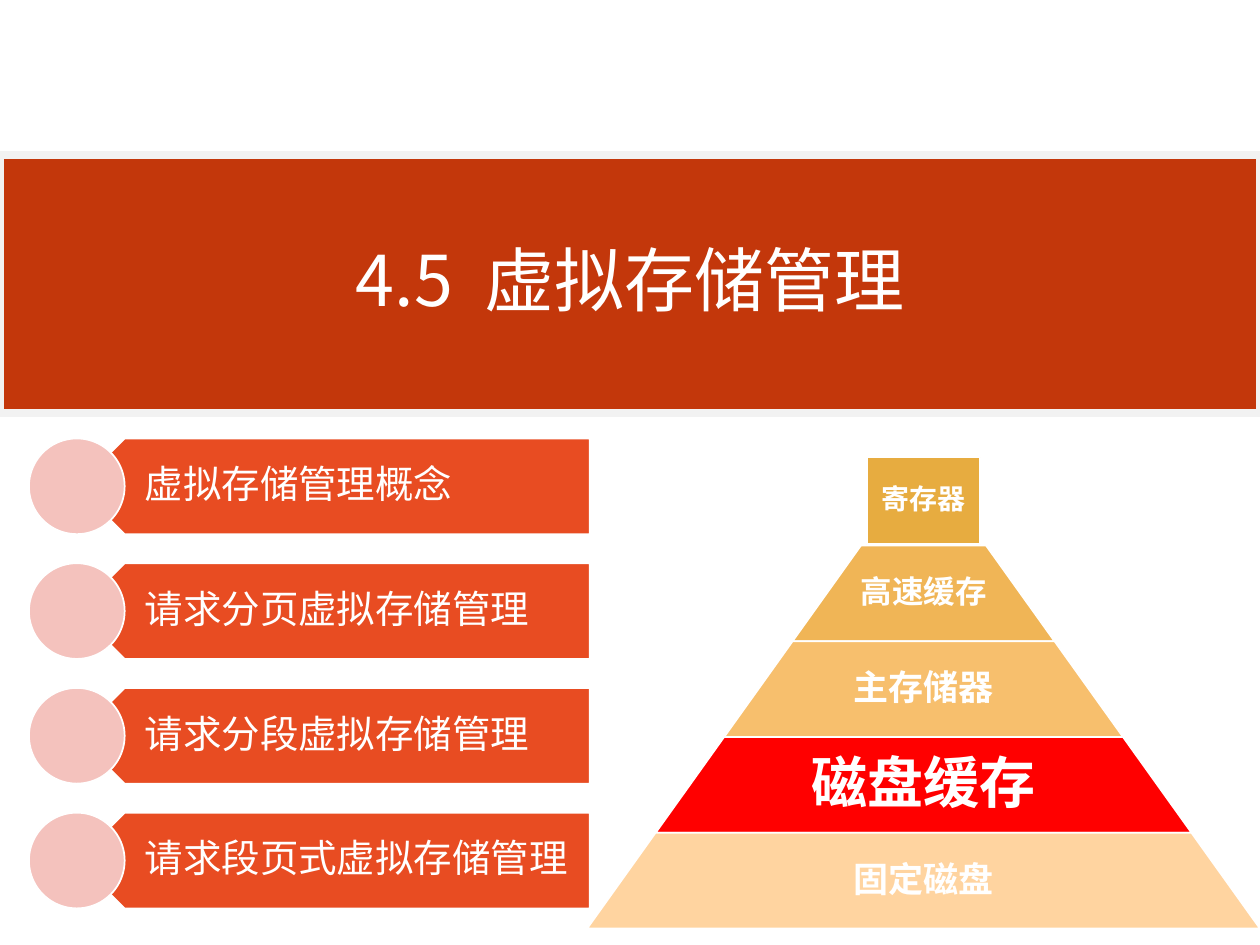
import pptx
import pptx.dml.color
import pptx.enum.shapes
import pptx.enum.text
import pptx.oxml.ns
import pptx.util
import lxml.etree

Inches = pptx.util.Inches
RGBColor = pptx.dml.color.RGBColor
Kind = pptx.enum.shapes.MSO_SHAPE
Align = pptx.enum.text.PP_ALIGN

WHITE = RGBColor(0xFF, 0xFF, 0xFF)
FRAME = RGBColor(0xF2, 0xF2, 0xF2)
RUST = RGBColor(0xC3, 0x37, 0x0B)
ORANGE = RGBColor(0xE8, 0x4C, 0x22)
PINK = RGBColor(0xF4, 0xC2, 0xBD)
GOLD = RGBColor(0xE7, 0xAC, 0x40)
AMBER = RGBColor(0xF0, 0xB5, 0x56)
APRICOT = RGBColor(0xF7, 0xBF, 0x6D)
RED = RGBColor(0xFF, 0x00, 0x00)
PEACH = RGBColor(0xFF, 0xD4, 0xA0)

CJK_FONT = "Noto Sans CJK SC"
TOPICS = ["虚拟存储管理概念", "请求分页虚拟存储管理", "请求分段虚拟存储管理", "请求段页式虚拟存储管理"]
LAYERS = [
    ("高速缓存", 18, AMBER),
    ("主存储器", 20, APRICOT),
    ("磁盘缓存", 32, RED),
    ("固定磁盘", 20, PEACH),
]


def apply_format(target, values):
    """Set each named attribute of the target."""
    for name, value in values.items():
        setattr(target, name, value)


def add_block(page, kind, left, top, width, height, fill, line=WHITE, weight=1):
    """Add a flat filled shape with an outline."""
    shape = page.shapes.add_shape(kind, Inches(left), Inches(top), Inches(width), Inches(height))
    shape.shadow.inherit = False
    shape.fill.solid()
    shape.fill.fore_color.rgb = fill
    shape.line.color.rgb = line
    shape.line.width = pptx.util.Pt(weight)
    return shape


def add_span(para, text, size, font, bold=False):
    """Add a white run with Latin and East Asian fonts."""
    span = para.add_run()
    span.text = text
    span.font.color.rgb = WHITE
    apply_format(span.font, {"size": pptx.util.Pt(size), "bold": bold, "name": font})
    east = lxml.etree.SubElement(span._r.get_or_add_rPr(), pptx.oxml.ns.qn("a:ea"))
    east.set("typeface", CJK_FONT)
    return span


def start_para(frame, align):
    """Prepare a middle-anchored frame and return its first paragraph."""
    apply_format(frame, {"word_wrap": True, "vertical_anchor": pptx.enum.text.MSO_ANCHOR.MIDDLE})
    para = frame.paragraphs[0]
    apply_format(para, {"alignment": align, "line_spacing": 0.9})
    return para


def add_label(page, left, top, width, height, text, size, margins, align, bold):
    """Add a text box holding one line of white text."""
    box = page.shapes.add_textbox(Inches(left), Inches(top), Inches(width), Inches(height))
    sides = ("margin_left", "margin_top", "margin_right", "margin_bottom")
    apply_format(box.text_frame, dict(zip(sides, map(Inches, margins))))
    add_span(start_para(box.text_frame, align), text, size, "Calibri", bold)


def add_title(page, left, top, width, height):
    """Draw the title band, with a widened space after the number."""
    band = add_block(page, Kind.RECTANGLE, left, top, width, height, RUST, FRAME, 4.5)
    para = start_para(band.text_frame, Align.CENTER)
    add_span(para, "4.5", 40, CJK_FONT)
    space = add_span(para, " ", 40, CJK_FONT)
    space._r.get_or_add_rPr().set("spc", "900")
    add_span(para, "虚拟存储管理", 40, CJK_FONT)


def add_topics(page, left, top, width, height):
    """Draw the topic list as arrow bars with a circle at each point."""
    size = 0.76
    pitch = (height - size) / (len(TOPICS) - 1)
    for index, topic in enumerate(TOPICS):
        y = top + index * pitch
        bar = add_block(page, Kind.PENTAGON, left + size / 2, y, width - size / 2, size, ORANGE)
        bar.rotation = 180
        add_label(page, left + 0.58, y, width - 0.58, size, topic, 22,
                  (0.34, 0.09, 0.17, 0.09), Align.LEFT, False)
        add_block(page, Kind.OVAL, left, y, size, size, PINK)


def add_pyramid(page, left, top, width, height):
    """Draw the storage pyramid: a square cap above sloping layers."""
    cap_width, cap_height, slope = 0.9, 0.69, 0.715
    centre = left + width / 2
    layers_top = top + cap_height + 0.01
    step = (top + height - layers_top) / len(LAYERS)
    cap = (centre - cap_width / 2, top, cap_width, cap_height)
    add_block(page, Kind.RECTANGLE, *cap, GOLD)
    add_label(page, *cap, "寄存器", 16, (0.02,) * 4, Align.CENTER, True)
    for index, (text, size, fill) in enumerate(LAYERS):
        y = layers_top + index * step
        base = width - 2 * slope * step * (len(LAYERS) - 1 - index)
        layer = add_block(page, Kind.TRAPEZOID, centre - base / 2, y, base, step, fill)
        layer.adjustments[0] = slope
        label_width = base * 0.65
        add_label(page, centre - label_width / 2, y, label_width, step, text, size,
                  (0.03,) * 4, Align.CENTER, True)


def main():
    """Build and save the slide."""
    deck = pptx.Presentation()
    apply_format(deck, {"slide_width": Inches(10), "slide_height": Inches(7.5)})
    page = deck.slides.add_slide(deck.slide_layouts[6])
    add_title(page, 0, 1.23, 10, 2.05)
    add_topics(page, 0.23, 3.48, 4.45, 3.73)
    add_pyramid(page, 4.66, 3.63, 5.34, 3.74)
    deck.save("out.pptx")


if __name__ == "__main__":
    main()
